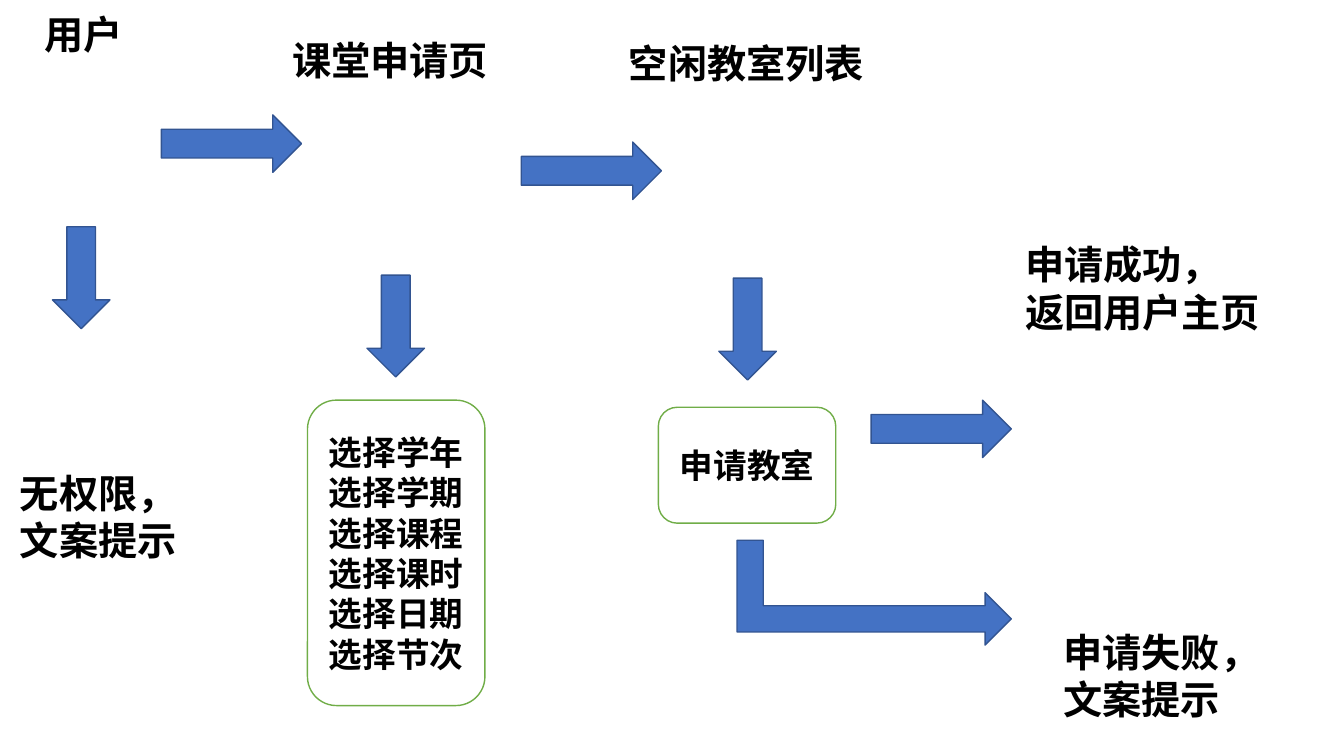
from pptx import Presentation
from pptx import util as u
from pptx.dml.color import RGBColor
from pptx.enum import shapes, text
from pptx.oxml.ns import qn
from lxml import etree

PX = 9144
FONT = "Noto Sans CJK SC"
COLORS = {"text": "000000", "arrow": "4472C4", "arrow_line": "325491",
          "box": "FFFFFF", "box_line": "70AD47"}
SHAPE = shapes.MSO_SHAPE
ARROW_W, DOWN_W, ARROW_H = 139, 101, 57


def color(name):
    return RGBColor.from_string(COLORS[name])


def px(*lengths):
    return [u.Emu(n * PX) for n in lengths]


def write(tf, content, size, align):
    tf.word_wrap = True
    tf.text = content
    for p in tf.paragraphs:
        p.alignment = align
        p.line_spacing = u.Pt(size * 1.2)
        for r in p.runs:
            r.font.size = u.Pt(size)
            r.font.bold = True
            r.font.name = FONT
            r.font.color.rgb = color("text")
            ea = etree.SubElement(r.font._element, qn("a:ea"))
            ea.set("typeface", FONT)


def add_label(s, box, content):
    sp = s.shapes.add_textbox(*px(*box))
    write(sp.text_frame, content, 28, text.PP_ALIGN.LEFT)


def add_figure(s, kind, box, fill, line):
    sp = s.shapes.add_shape(kind, *px(*box))
    sp.shadow.inherit = False
    sp.fill.solid()
    sp.fill.fore_color.rgb = color(fill)
    sp.line.color.rgb = color(line)
    sp.line.width = u.Pt(1)
    return sp


def add_arrow(s, box, kind=SHAPE.RIGHT_ARROW, rotation=0):
    sp = add_figure(s, kind, box, "arrow", "arrow_line")
    sp.rotation = rotation


def add_step(s, box, content):
    sp = add_figure(s, SHAPE.ROUNDED_RECTANGLE, box, "box", "box_line")
    sp.adjustments[0] = 0.163
    sp.text_frame.vertical_anchor = text.MSO_ANCHOR.MIDDLE
    write(sp.text_frame, content, 24, text.PP_ALIGN.CENTER)


def add_flow(s, x, y):
    labels = [
        (34, 5, 150, 57, "用户"),
        (280, 31, 225, 57, "课堂申请页"),
        (614, 34, 286, 57, "空闲教室列表"),
        (10, 461, 190, 104, "无权限，文案提示"),
        (1007, 234, 267, 104, "申请成功，\n返回用户主页"),
        (1045, 618, 190, 104, "申请失败，文案提示"),
    ]
    for left, top, w, h, content in labels:
        add_label(s, (x + left, y + top, w, h), content)

    for left, top in [(160, 114), (517, 141), (864, 397)]:
        add_arrow(s, (x + left, y + top, ARROW_W, ARROW_H))
    for left, top in [(30, 247), (342, 295), (691, 298)]:
        add_arrow(s, (x + left, y + top, DOWN_W, ARROW_H), rotation=90)
    add_arrow(s, (x + 815, y + 452, 104, 272), SHAPE.BENT_UP_ARROW, 90)

    choices = ["学年", "学期", "课程", "课时", "日期", "节次"]
    add_step(s, (x + 305, y + 397, 176, 303),
             "\n".join("选择" + choice for choice in choices))
    add_step(s, (x + 653, y + 404, 176, 115), "申请教室")


def main():
    prs = Presentation()
    prs.slide_width, prs.slide_height = px(1333, 750)
    s = prs.slides.add_slide(prs.slide_layouts[6])
    add_flow(s, 0, 0)
    prs.save("out.pptx")


if __name__ == "__main__":
    main()
